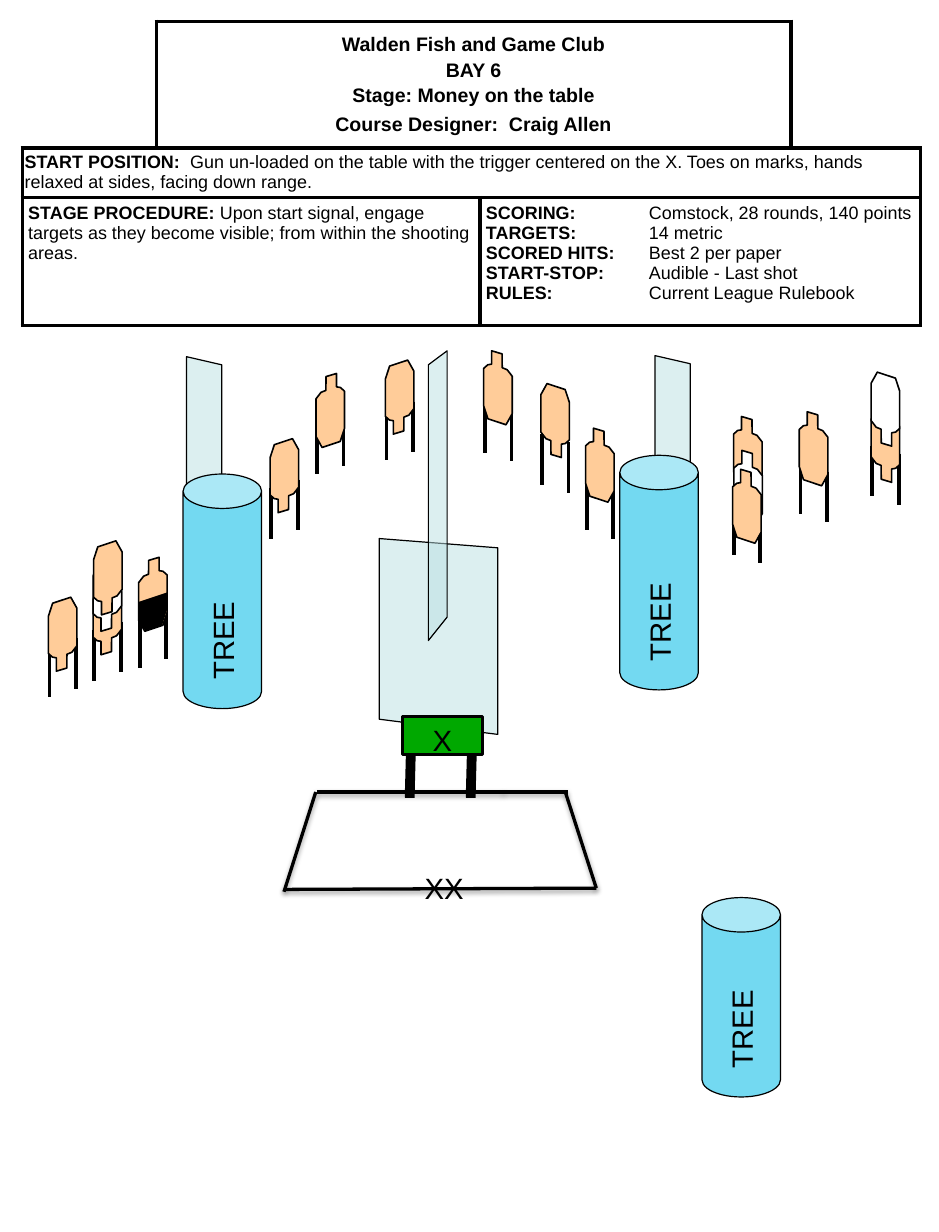
"""Build the Money on the table stage diagram and briefing sheet."""
from lxml import etree
from pptx import Presentation
from pptx.dml.color import RGBColor
from pptx.enum.shapes import MSO_CONNECTOR as Connector, MSO_SHAPE as Preset
from pptx.enum.text import MSO_ANCHOR as Anchor, PP_ALIGN as Align
from pptx.oxml import parse_xml
from pptx.oxml.ns import nsdecls, qn
from pptx.util import Pt

rgb = RGBColor.from_string
BLACK, WHITE, TAN, GREEN, GLASS = "000000", "FFFFFF", "FFCC99", "00A800", "BBE0E3"

deck = Presentation()
deck.slide_width, deck.slide_height = Pt(576), Pt(756)
slide = deck.slides.add_slide(deck.slide_layouts[6])
shapes = slide.shapes


def draw_line(x1, y1, x2, y2, width, shadow=False):
    line = shapes.add_connector(Connector.STRAIGHT, Pt(x1), Pt(y1), Pt(x2), Pt(y2))
    line.line.color.rgb = rgb(BLACK)
    line.line.width = Pt(width)
    effects = etree.SubElement(line._element.spPr, qn("a:effectLst"))
    if shadow:
        effects.append(parse_xml(
            f'<a:outerShdw {nsdecls("a")} blurRad="{Pt(3.1)}" dist="{Pt(1.6)}" dir="5400000" '
            f'rotWithShape="0"><a:srgbClr val="{BLACK}"><a:alpha val="38000"/></a:srgbClr></a:outerShdw>'))


def draw_outline(points, fill, width, opacity=None):
    corners = [(Pt(x), Pt(y)) for x, y in points]
    builder = shapes.build_freeform(*corners[0])
    builder.add_line_segments(corners[1:], close=True)
    outline = builder.convert_to_shape()
    outline.shadow.inherit = False
    outline.fill.solid()
    outline.fill.fore_color.rgb = rgb(fill)
    if opacity:
        color = outline._element.spPr.find(qn("a:solidFill"))[0]
        etree.SubElement(color, qn("a:alpha")).set("val", str(opacity * 1000))
    if width:
        outline.line.color.rgb = rgb(BLACK)
        outline.line.width = Pt(width)
    else:
        outline.line.fill.background()
    return outline


for ends in [(194.4, 486, 308.9, 486), (308.9, 486, 348.5, 486),
             (365.8, 545, 347, 486.7), (193.7, 486, 174.2, 547.2)]:
    draw_line(*ends, 2, shadow=True)

for left, top in [(114.5, 218.9), (401.8, 218.2)]:
    draw_outline([(left + 21.6, top + 5), (left, top), (left, top + 98.6), (left + 21.6, top + 107.3)],
                 GLASS, 0.75, 50)

briefing = shapes.add_table(3, 4, Pt(13.7), Pt(13), Pt(550.8), Pt(182.9)).table
briefing.first_row = briefing.horz_banding = False
for column, width in zip(briefing.columns, [82.1, 198.7, 190.8, 79.2]):
    column.width = Pt(width)
for row, height in zip(briefing.rows, [77.8, 26.6, 78.5]):
    row.height = Pt(height)

bordered = {(0, 0): "RB", (0, 3): "LB"}
for r in range(3):
    for c in range(4):
        cell = briefing.cell(r, c)
        props = cell._tc.get_or_add_tcPr()
        for side in "LRTB":
            edge = etree.SubElement(props, qn(f"a:ln{side}"))
            if side in bordered.get((r, c), "LRTB"):
                edge.set("w", str(Pt(2.25)))
                paint = etree.SubElement(edge, qn("a:solidFill"))
                etree.SubElement(paint, qn("a:srgbClr")).set("val", BLACK)
            else:
                etree.SubElement(edge, qn("a:noFill"))
        cell.fill.solid()
        cell.fill.fore_color.rgb = rgb(WHITE)

heading = [("Walden Fish and Game Club", ""), ("BAY 6", ""), ("Stage: Money on the table", ""),
           ("Course Designer:  Craig Allen", "")]
start = [("START POSITION:  ", "Gun un-loaded on the table with the trigger centered on the X. "
          "Toes on marks, hands relaxed at sides, facing down range.")]
procedure = [("STAGE PROCEDURE: ", "Upon start signal, engage targets as they become visible; "
              "from within the shooting areas.")]
scoring = [("SCORING:\t", "Comstock, 28 rounds, 140 points"), ("TARGETS:\t", "14 metric"),
           ("SCORED HITS:\t", "Best 2 per paper"), ("START-STOP:\t", "Audible - Last shot"),
           ("RULES:\t", "Current League Rulebook")]
for r, c, last, side, edge, size, content in [
        (0, 1, 2, 3.6, 3.6, 12, heading), (1, 0, 3, 1.4, 2.9, 11, start),
        (2, 0, 1, 3.6, 3.6, 11, procedure), (2, 2, 3, 3.6, 3.6, 11, scoring)]:
    cell = briefing.cell(r, c)
    cell.merge(briefing.cell(r, last))
    cell.margin_left = cell.margin_right = Pt(side)
    cell.margin_top = cell.margin_bottom = Pt(edge)
    cell.vertical_anchor = Anchor.MIDDLE if content is heading else Anchor.TOP
    for i, (label, detail) in enumerate(content):
        entry = cell.text_frame.paragraphs[0] if i == 0 else cell.text_frame.add_paragraph()
        if content is heading:
            entry.alignment = Align.CENTER
            if i:
                entry.space_before = Pt(4.2 if i == 3 else 2.4)
        if content is scoring:
            stops = etree.SubElement(entry._p.get_or_add_pPr(), qn("a:tabLst"))
            stop = etree.SubElement(stops, qn("a:tab"))
            stop.set("pos", str(Pt(100)))
            stop.set("algn", "l")
        for wording, bold in [(label, True), (detail, False)]:
            if wording:
                run = entry.add_run()
                run.text = wording
                run.font.name, run.font.size, run.font.bold = "Arial", Pt(size), bold
                run.font.color.rgb = rgb(BLACK)

labels = []
for left, top, height in [(380.2, 279.4, 144), (112.3, 290.9, 144), (430.6, 550.8, 122.4)]:
    tree = shapes.add_shape(Preset.CAN, Pt(left), Pt(top), Pt(48.2), Pt(height))
    tree.adjustments[0] = 0.439
    tree.shadow.inherit = False
    tree.fill.solid()
    tree.fill.fore_color.rgb = rgb("73D9F1")
    tree.line.color.rgb = rgb(BLACK)
    tree.line.width = Pt(0.75)
    tree.text_frame.text = "TREE"
    tree.text_frame.word_wrap = False
    tree.text_frame.vertical_anchor = Anchor.MIDDLE
    tree.text_frame._txBody.bodyPr.set("vert", "vert270")
    labels.append(tree)
    if height == 122.4:
        tree.height = Pt(122.4)

toe_marks = shapes.add_textbox(Pt(253.4), Pt(530.6), Pt(38.9), Pt(28.8))
toe_marks.text_frame.text = "XX"
toe_marks.text_frame.word_wrap = True
labels.append(toe_marks)

draw_outline([(305.3, 336.2), (232.6, 330.5), (232.6, 441.4), (305.3, 450.7)], GLASS, 0.75, 50)

silhouette = [(11.3, 1.9), (4.9, 0), (4.9, 8.2), (2.5, 8.6), (0, 10.8), (0, 33.8), (2.6, 41.7),
              (13.7, 45.4), (17.5, 38.6), (17.5, 15.6), (14.4, 11.6), (11.4, 10.4)]
for left, top, mirrored, inverted, post_top, fill in [
        (450, 255.6, 0, 0, None, TAN), (450.2, 276.4, 0, 0, None, WHITE),
        (57.1, 356.4, 0, 1, 386.6, TAN), (57.1, 342, 0, 1, None, WHITE),
        (57.4, 331.9, 0, 1, None, TAN), (85, 342, 1, 0, 378.7, TAN),
        (29.7, 366.5, 0, 1, 396.7, TAN), (534.4, 250.6, 1, 1, 273.6, TAN),
        (534.4, 228.4, 1, 1, None, WHITE), (449.4, 288, 0, 0, 309.6, TAN),
        (490.3, 252.7, 0, 0, 284.4, TAN), (296.7, 215.3, 0, 0, 247, TAN),
        (359.2, 262.8, 0, 0, 294.5, TAN), (165.7, 269.2, 0, 1, 299.5, TAN),
        (236.4, 221, 0, 1, 251.4, TAN), (193.8, 229.2, 1, 0, 260, TAN),
        (331.8, 235.4, 1, 1, 266.4, TAN)]:
    if post_top:
        slope = 5 if mirrored == inverted else -5
        for x, y in [(left + 0.7, post_top), (left + 17, post_top + slope)]:
            draw_line(x, y, x, y + 31, 2.25)
    draw_outline([(left + (17.5 - x if mirrored else x), top + (45.4 - y if inverted else y))
                  for x, y in silhouette], fill, 1)

draw_outline([(85, 380.9), (89.3, 387.4), (99.4, 383.8), (102.4, 374.4), (102.4, 363.6), (85, 369.4)],
             BLACK, 0)

for foot in (288.7, 251.3):
    draw_outline([(foot + 0.7, 462.2), (foot, 489.6)], GREEN, 6)
bench = draw_outline([(246.7, 439.9), (296.1, 439.9), (296.1, 463), (246.7, 463)], GREEN, 1.75)
bench.text_frame.text = "X"
bench.text_frame.vertical_anchor = Anchor.TOP
bench.text_frame.paragraphs[0].alignment = Align.CENTER
labels.append(bench)

for label in labels:
    font = label.text_frame.paragraphs[0].runs[0].font
    font.name, font.size = "Arial", Pt(18)
    font.color.rgb = rgb(BLACK)

draw_outline([(262.8, 223.9), (274.3, 215.3), (274.3, 378.7), (262.8, 393.1)], GLASS, 0.75, 50)
draw_line(174.2, 545.8, 365.8, 545, 2, shadow=True)

deck.save("out.pptx")
